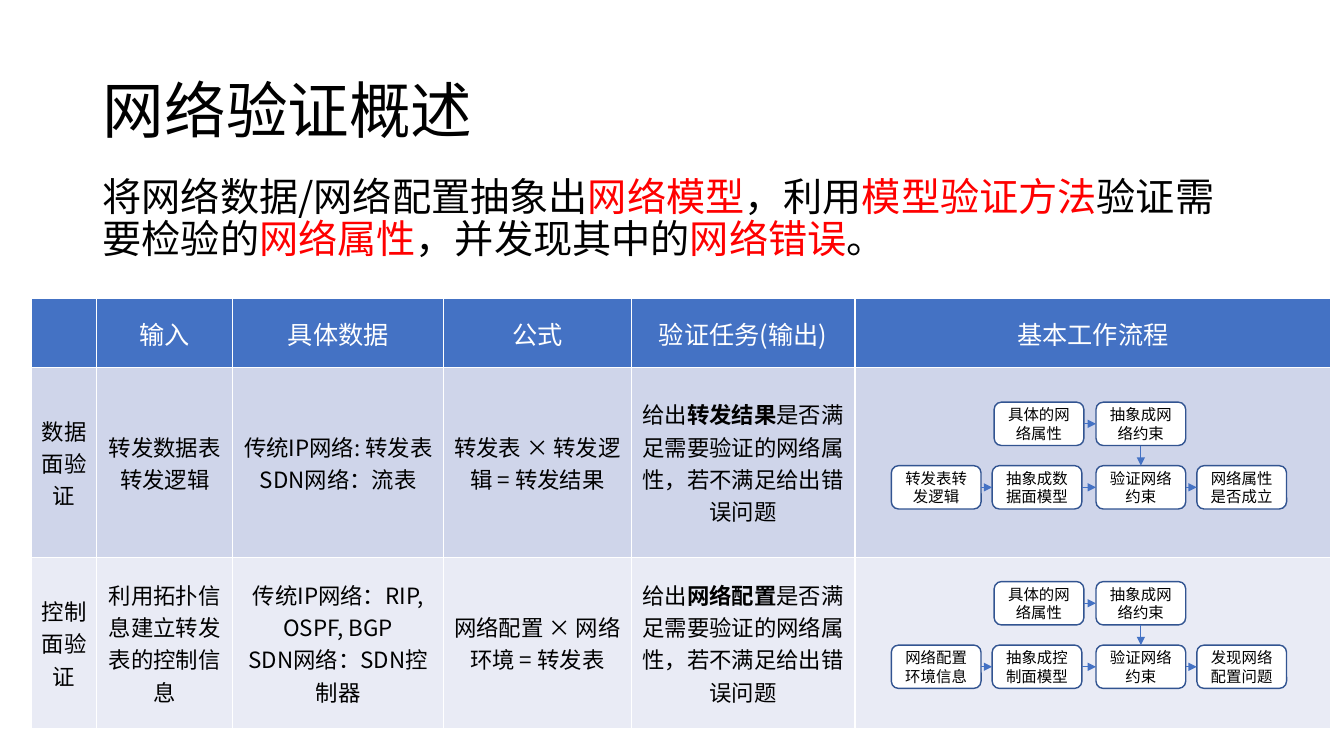
from dataclasses import dataclass

import pptx
import pptx.dml.color
import pptx.enum.shapes
import pptx.enum.text
import pptx.oxml
import pptx.oxml.ns
import pptx.util

EMU_PER_PX = 9144  # 100 px to the inch
EMPHASIS_MARK = "|"


@dataclass(frozen=True)
class Theme:
    font: str = "Noto Sans CJK SC"
    text: str = "000000"
    paper: str = "FFFFFF"
    highlight: str = "FF0000"
    accent: str = "4472C4"
    outline: str = "325491"
    bands: tuple = ("CFD5EA", "E9EBF5")
    title_size: int = 44
    lead_size: int = 28
    header_size: int = 18
    cell_size: int = 16
    step_size: int = 11


THEME = Theme()

TITLE = "网络验证概述"
LEAD = ("将网络数据/网络配置抽象出|网络模型|，利用|模型验证方法|验证需要检验的"
        "|网络属性|，并发现其中的|网络错误|。")

COLUMN_WIDTHS = (65, 135, 209, 186, 222, 472)
ROW_HEIGHTS = (69, 188, 170)
HEADER = ("", "输入", "具体数据", "公式", "验证任务(输出)", "基本工作流程")
PLANES = (
    ("数据面验证", "转发数据表\n转发逻辑", "传统IP网络: 转发表\nSDN网络：流表",
     "转发表 × 转发逻辑 = 转发结果",
     "给出|转发结果|是否满足需要验证的网络属性，若不满足给出错误问题", ""),
    ("控制面验证", "利用拓扑信息建立转发表的控制信息",
     "传统IP网络：RIP, OSPF, BGP\nSDN网络：SDN控制器",
     "网络配置 × 网络环境 = 转发表",
     "给出|网络配置|是否满足需要验证的网络属性，若不满足给出错误问题", ""),
)

STEP_SIZE = (89, 43)
STEP_LEFTS = (884, 984, 1087, 1187)
PROPERTY_LEFTS = (986, 1087)
FLOW_ROW_PITCH = 63
PROPERTY_STEPS = ("具体的网络属性", "抽象成网络约束")
FLOWS = (
    (399, ("转发表转发逻辑", "抽象成数据面模型", "验证网络约束", "网络属性是否成立")),
    (577, ("网络配置环境信息", "抽象成控制面模型", "验证网络约束", "发现网络配置问题")),
)
TOP, LEFT, BOTTOM, RIGHT = range(4)  # connection sites of a box


def px(*lengths):
    return [pptx.util.Emu(length * EMU_PER_PX) for length in lengths]


def rgb(colour):
    return pptx.dml.color.RGBColor.from_string(colour)


def add_run(paragraph, text, size, colour, bold=False):
    run = paragraph.add_run()
    run.text = text
    run.font.size = pptx.util.Pt(size)
    run.font.bold = bold
    run.font.color.rgb = rgb(colour)
    run.font.name = THEME.font
    east_asian = pptx.oxml.parse_xml(
        f'<a:ea {pptx.oxml.ns.nsdecls("a")} typeface="{THEME.font}"/>')
    run.font._element.append(east_asian)


def write(frame, text, size, colour=THEME.text, emphasis=None, align="CENTER", spacing=1.0):
    """Fill a frame; marked parts take the emphasis colour, or bold when there is none."""
    for index, line in enumerate(text.split("\n")):
        paragraph = frame.add_paragraph() if index else frame.paragraphs[0]
        paragraph.alignment = pptx.enum.text.PP_ALIGN[align]
        paragraph.line_spacing = spacing
        for part_index, part in enumerate(line.split(EMPHASIS_MARK)):
            marked = part_index % 2 == 1
            add_run(paragraph, part, size,
                    emphasis if marked and emphasis else colour,
                    bold=marked and not emphasis)


def set_title(slide):
    title = slide.shapes.title
    title.left, title.top, title.width, title.height = px(92, 40, 1150, 145)
    title.text_frame.auto_size = pptx.enum.text.MSO_AUTO_SIZE.NONE
    title.text_frame.vertical_anchor = pptx.enum.text.MSO_ANCHOR.MIDDLE
    write(title.text_frame, TITLE, THEME.title_size, align="LEFT", spacing=0.9)


def add_lead(slide):
    frame = slide.shapes.add_textbox(*px(92, 171, 1150, 539)).text_frame
    frame.word_wrap = True
    write(frame, LEAD, THEME.lead_size, emphasis=THEME.highlight, align="LEFT", spacing=0.9)


def set_borders(cell):
    properties = cell._tc.get_or_add_tcPr()
    for index, side in enumerate(("lnL", "lnR", "lnT", "lnB")):
        properties.insert(index, pptx.oxml.parse_xml(
            f'<a:{side} {pptx.oxml.ns.nsdecls("a")} w="{pptx.util.Pt(1)}">'
            f'<a:solidFill><a:srgbClr val="{THEME.paper}"/></a:solidFill></a:{side}>'))


def fill_row(row, texts, fill, size, colour):
    for cell, text in zip(row.cells, texts):
        cell.fill.solid()
        cell.fill.fore_color.rgb = rgb(fill)
        cell.vertical_anchor = pptx.enum.text.MSO_ANCHOR.MIDDLE
        set_borders(cell)
        if text:
            write(cell.text_frame, text, size, colour)


def add_comparison(slide):
    frame = slide.shapes.add_table(
        len(ROW_HEIGHTS), len(COLUMN_WIDTHS),
        *px(31, 296, sum(COLUMN_WIDTHS), sum(ROW_HEIGHTS)))
    table = frame.table
    for column, width in zip(table.columns, px(*COLUMN_WIDTHS)):
        column.width = width
    for row, height in zip(table.rows, px(*ROW_HEIGHTS)):
        row.height = height
    fill_row(table.rows[0], HEADER, THEME.accent, THEME.header_size, THEME.paper)
    for index, (plane, band) in enumerate(zip(PLANES, THEME.bands), start=1):
        fill_row(table.rows[index], plane, band, THEME.cell_size, THEME.text)


def add_step(slide, left, top, text):
    step = slide.shapes.add_shape(
        pptx.enum.shapes.MSO_SHAPE.ROUNDED_RECTANGLE, *px(left, top, *STEP_SIZE))
    step.shadow.inherit = False
    step.fill.solid()
    step.fill.fore_color.rgb = rgb(THEME.paper)
    step.line.color.rgb = rgb(THEME.outline)
    step.line.width = pptx.util.Pt(1)
    step.text_frame.word_wrap = True
    step.text_frame.vertical_anchor = pptx.enum.text.MSO_ANCHOR.MIDDLE
    write(step.text_frame, text, THEME.step_size)
    return step


def add_arrow(slide, source, target, source_site=RIGHT, target_site=LEFT):
    arrow = slide.shapes.add_connector(
        pptx.enum.shapes.MSO_CONNECTOR.STRAIGHT, 0, 0, 0, 0)
    arrow.begin_connect(source, source_site)
    arrow.end_connect(target, target_site)
    arrow.line.color.rgb = rgb(THEME.accent)
    arrow.line.width = pptx.util.Pt(0.5)
    namespace = pptx.oxml.ns.nsdecls("a")
    arrow.line._get_or_add_ln().append(
        pptx.oxml.parse_xml(f'<a:tailEnd {namespace} type="triangle"/>'))
    arrow._element.spPr.append(pptx.oxml.parse_xml(f'<a:effectLst {namespace}/>'))


def add_chain(slide, lefts, top, texts):
    """Add a row of steps, each pointing to the next."""
    steps = [add_step(slide, left, top, text) for left, text in zip(lefts, texts)]
    for source, target in zip(steps, steps[1:]):
        add_arrow(slide, source, target)
    return steps


def add_flow(slide, top, texts):
    properties = add_chain(slide, PROPERTY_LEFTS, top, PROPERTY_STEPS)
    steps = add_chain(slide, STEP_LEFTS, top + FLOW_ROW_PITCH, texts)
    add_arrow(slide, properties[1], steps[2], BOTTOM, TOP)


def main():
    deck = pptx.Presentation()
    deck.slide_width, deck.slide_height = px(1333, 750)
    slide = deck.slides.add_slide(deck.slide_layouts.get_by_name("Title Only"))
    set_title(slide)
    add_lead(slide)
    add_comparison(slide)
    for top, texts in FLOWS:
        add_flow(slide, top, texts)
    deck.save("out.pptx")


if __name__ == "__main__":
    main()
